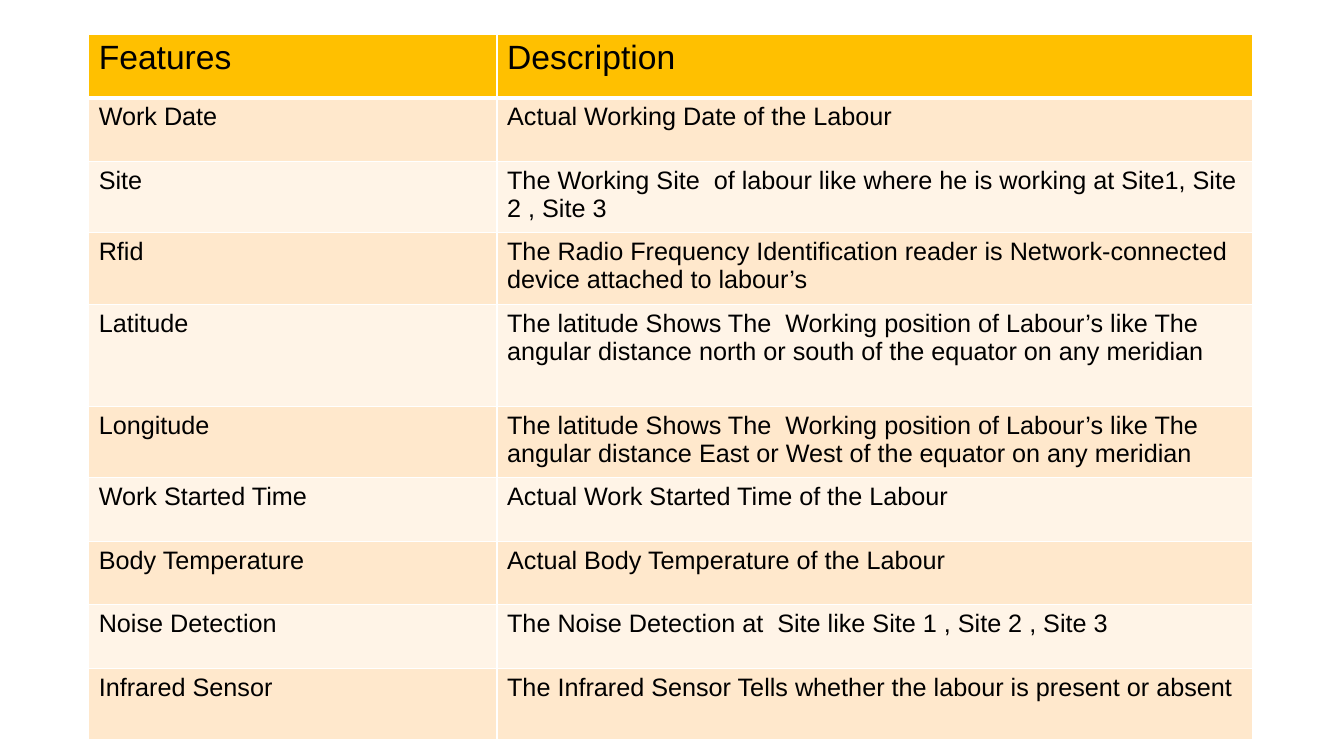
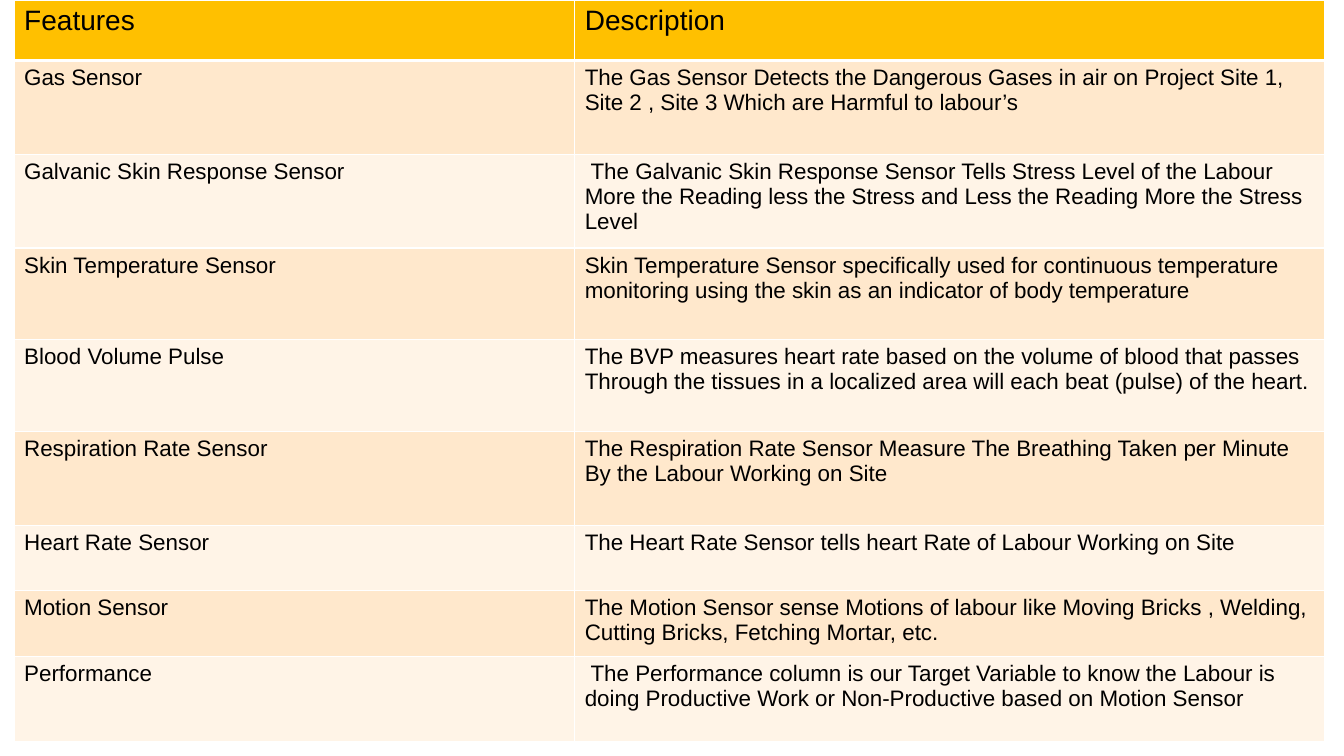
"""Build two slides of tables describing the features of a labour data set."""
from lxml import etree
from pptx import Presentation
from pptx.dml.color import RGBColor
from pptx.oxml.ns import qn
from pptx.util import Inches, Pt

BLANK_LAYOUT = 6
FONT = "Arial"
TEXT, BORDER = "000000", "FFFFFF"
HEADER_FILL = "FFC000"
BAND_FILLS = ("FFF4E7", "FFE8CC")
HEADINGS = ("Features", "Description")

FEATURE_TABLES = [
    {
        "left": 0.88, "top": 0.34, "widths": (4.05, 7.49),
        "heights": (0.63, 0.63, 0.71, 0.71, 1.01, 0.71, 0.63, 0.63, 0.63, 0.71),
        "heading_size": 24, "body_size": 18,
        "features": [
            ("Work Date", "Actual Working Date of the Labour"),
            ("Site", "The Working Site  of labour like where he is working at Site1, Site 2 , Site 3"),
            ("Rfid", "The Radio Frequency Identification reader is Network-connected "
                     "device attached to labour’s"),
            ("Latitude", "The latitude Shows The  Working position of Labour’s like The "
                         "angular distance north or south of the equator on any meridian"),
            ("Longitude", "The latitude Shows The  Working position of Labour’s like The "
                          "angular distance East or West of the equator on any meridian"),
            ("Work Started Time", "Actual Work Started Time of the Labour"),
            ("Body Temperature", "Actual Body Temperature of the Labour"),
            ("Noise Detection", "The Noise Detection at  Site like Site 1 , Site 2 , Site 3"),
            ("Infrared Sensor", "The Infrared Sensor Tells whether the labour is present or absent"),
        ],
    },
    {
        "left": 0.14, "top": 0, "widths": (5.56, 7.44),
        "heights": (0.6, 0.93, 0.93, 0.91, 0.91, 0.93, 0.65, 0.65, 0.85),
        "heading_size": 20, "body_size": 16,
        "features": [
            ("Gas Sensor", "The Gas Sensor Detects the Dangerous Gases in air on Project Site 1, "
                           "Site 2 , Site 3 Which are Harmful to labour’s"),
            ("Galvanic Skin Response Sensor",
             " The Galvanic Skin Response Sensor Tells Stress Level of the Labour "
             "More the Reading less the Stress and Less the Reading More the Stress Level"),
            ("Skin Temperature Sensor",
             "Skin Temperature Sensor specifically used for continuous temperature "
             "monitoring using the skin as an indicator of body temperature"),
            ("Blood Volume Pulse",
             "The BVP measures heart rate based on the volume of blood that passes "
             "Through the tissues in a localized area will each beat (pulse) of the heart."),
            ("Respiration Rate Sensor",
             "The Respiration Rate Sensor Measure The Breathing Taken per Minute "
             "By the Labour Working on Site"),
            ("Heart Rate Sensor", "The Heart Rate Sensor tells heart Rate of Labour Working on Site"),
            ("Motion Sensor", "The Motion Sensor sense Motions of labour like Moving Bricks , Welding, "
                              "Cutting Bricks, Fetching Mortar, etc."),
            ("Performance", " The Performance column is our Target Variable to know the Labour is "
                            "doing Productive Work or Non-Productive based on Motion Sensor"),
        ],
    },
]


def color(hex_string):
    return RGBColor.from_string(hex_string)


def set_borders(cell, bottom_width):
    properties = cell._tc.get_or_add_tcPr()
    widths = {"a:lnL": 1, "a:lnR": 1, "a:lnT": 1, "a:lnB": bottom_width}
    for position, (side, width) in enumerate(widths.items()):
        line = etree.Element(qn(side), w=str(Pt(width)))
        solid = etree.SubElement(line, qn("a:solidFill"))
        etree.SubElement(solid, qn("a:srgbClr"), val=BORDER)
        properties.insert(position, line)


deck = Presentation()
deck.slide_width = Inches(13.33)
deck.slide_height = Inches(7.5)

for layout in FEATURE_TABLES:
    slide = deck.slides.add_slide(deck.slide_layouts[BLANK_LAYOUT])
    widths, heights = layout["widths"], layout["heights"]
    table = slide.shapes.add_table(
        len(heights), len(widths), Inches(layout["left"]), Inches(layout["top"]),
        Inches(sum(widths)), Inches(sum(heights))).table
    for column, width in zip(table.columns, widths):
        column.width = Inches(width)
    for row, height in zip(table.rows, heights):
        row.height = Inches(height)

    for row_index, entries in enumerate([HEADINGS] + layout["features"]):
        is_header = row_index == 0
        fill = HEADER_FILL if is_header else BAND_FILLS[row_index % 2]
        size = layout["heading_size"] if is_header else layout["body_size"]
        for column_index, entry in enumerate(entries):
            cell = table.cell(row_index, column_index)
            cell.text_frame.text = entry
            font = cell.text_frame.paragraphs[0].runs[0].font
            font.name = FONT
            font.size = Pt(size)
            font.bold = False
            font.color.rgb = color(TEXT)
            cell.fill.solid()
            cell.fill.fore_color.rgb = color(fill)
            set_borders(cell, 3 if is_header else 1)

deck.save("out.pptx")
